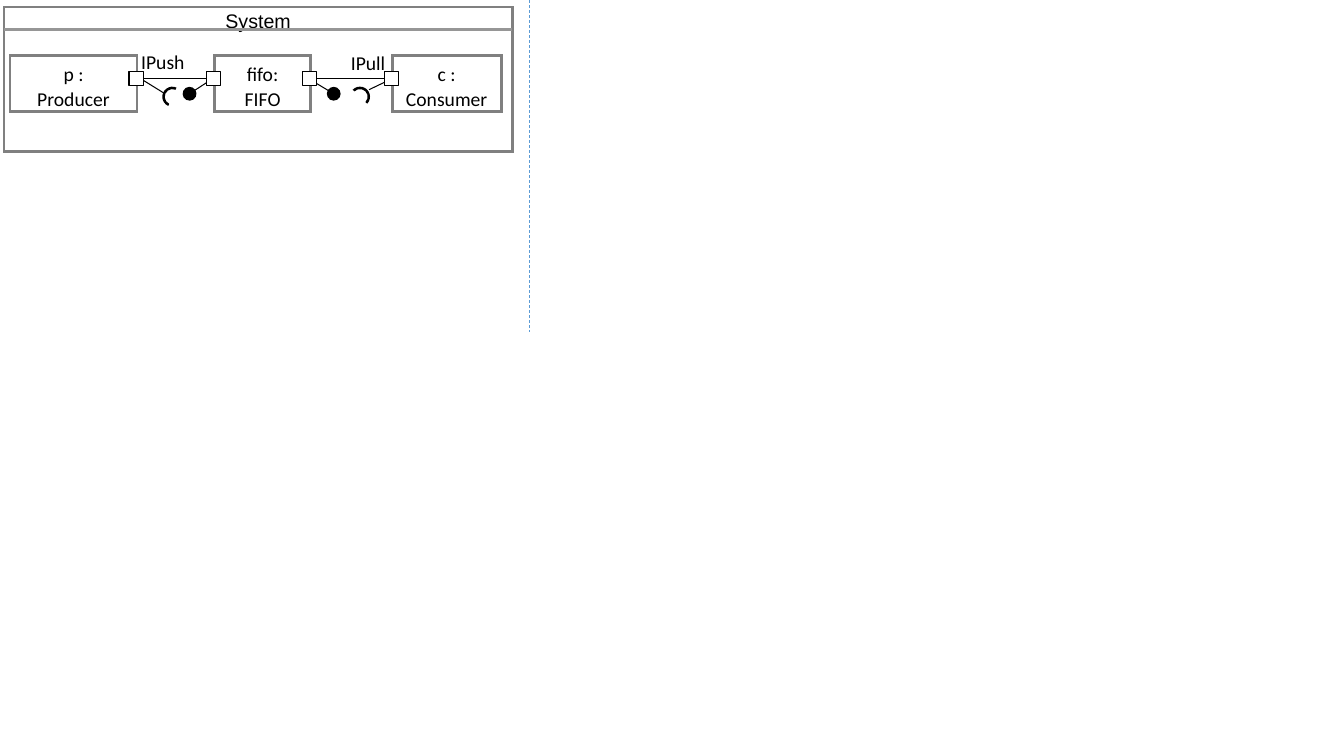
"""Draw a producer, FIFO and consumer component diagram on a fine grid of cells."""
from lxml.etree import SubElement
from pptx import Presentation
from pptx.dml.color import RGBColor
from pptx.enum.dml import MSO_LINE
from pptx.enum.shapes import MSO_CONNECTOR, MSO_SHAPE
from pptx.enum.text import MSO_ANCHOR, MSO_AUTO_SIZE, PP_ALIGN
from pptx.oxml.ns import qn
from pptx.util import Inches, Pt

CELL = Inches(0.01)
COLUMNS, ROWS = 1333, 750
BLACK, WHITE, GREY, LIGHT_GREY, BLUE = "000000", "FFFFFF", "808080", "969696", "5B9BD5"
PORT_SIZE, PORT_TOP = 14, 71
WIRE_ROW = PORT_TOP + PORT_SIZE // 2


def color(hex_string):
    return RGBColor.from_string(hex_string)


def add_line(start, end, line_color=BLACK, width=0.75):
    connector = shapes.add_connector(
        MSO_CONNECTOR.STRAIGHT, *(value * CELL for value in (*start, *end)))
    connector.line.color.rgb = color(line_color)
    connector.line.width = Pt(width)
    SubElement(connector._element.spPr, qn("a:effectLst"))
    return connector


presentation = Presentation()
presentation.slide_width = COLUMNS * CELL
presentation.slide_height = ROWS * CELL
slide = presentation.slides.add_slide(presentation.slide_layouts[6])
shapes = slide.shapes

boxes = [
    ("System", "Arial", (4, 7, 504, 143), 9, 0),
    ("p :\nProducer", "Calibri", (10, 55, 126, 56), 9, 5),
    ("fifo:\nFIFO", "Calibri", (213, 55, 95, 56), 14, 5),
    ("c :\nConsumer", "Calibri", (389, 55, 108, 56), 9, 5),
]
for text, font_name, place, side_inset, top_inset in boxes:
    box = shapes.add_shape(MSO_SHAPE.ROUNDED_RECTANGLE, *(value * CELL for value in place))
    box.adjustments[0] = 0
    box.shadow.inherit = False
    box.line.color.rgb = color(GREY)
    box.line.width = Pt(2)
    SubElement(box.line._get_or_add_ln(), qn("a:miter"), lim="800000")
    if text == "System":
        box.fill.background()
    else:
        box.fill.solid()
        box.fill.fore_color.rgb = color(WHITE)
        fill_color = box._element.spPr.find(qn("a:solidFill"))[0]
        SubElement(fill_color, qn("a:alpha"), val="50000")
    frame = box.text_frame
    frame.word_wrap = False
    frame.vertical_anchor = MSO_ANCHOR.TOP
    frame.margin_left = frame.margin_right = side_inset * CELL
    frame.margin_top, frame.margin_bottom = top_inset * CELL, 5 * CELL
    frame.text = text
    for paragraph in frame.paragraphs:
        paragraph.alignment = PP_ALIGN.CENTER
        paragraph.line_spacing = 1.07
        font = paragraph.runs[0].font
        font.size = Pt(14)
        font.name = font_name
        font.color.rgb = color(BLACK)

add_line((4, 29), (508, 29), LIGHT_GREY, 2)

add_line((162, 92), (141, 79))
add_line((389, WIRE_ROW), (366, 89))
for start, end in [((211, WIRE_ROW), (188, 93)), ((306, WIRE_ROW), (331, 93))]:
    lollipop = add_line(start, end)
    SubElement(lollipop.line._get_or_add_ln(), qn("a:tailEnd"), type="oval", w="lg", len="lg")

for left, rotation in [(161, 294), (347, 44)]:
    socket = shapes.add_shape(MSO_SHAPE.BLOCK_ARC, left * CELL, 86 * CELL, 20 * CELL, 20 * CELL)
    socket.adjustments[2] = 0.12
    socket.rotation = rotation
    socket.shadow.inherit = False
    socket.fill.solid()
    socket.fill.fore_color.rgb = color(BLACK)
    socket.line.fill.background()

ports = []
for left in (128, 205, 300, 381):
    port = shapes.add_shape(
        MSO_SHAPE.RECTANGLE, left * CELL, PORT_TOP * CELL, PORT_SIZE * CELL, PORT_SIZE * CELL)
    port.shadow.inherit = False
    port.fill.solid()
    port.fill.fore_color.rgb = color(WHITE)
    port.line.color.rgb = color(BLACK)
    port.line.width = Pt(0.75)
    ports.append(port)

for source, target in (ports[:2], ports[2:]):
    wire = add_line((0, 0), (0, 0))
    wire.begin_connect(source, 3)
    wire.end_connect(target, 1)

for text, place in [("IPush", (131, 45, 62, 32)), ("IPull", (339, 46, 56, 32))]:
    label = shapes.add_textbox(*(value * CELL for value in place))
    frame = label.text_frame
    frame.word_wrap = False
    frame.auto_size = MSO_AUTO_SIZE.SHAPE_TO_FIT_TEXT
    frame.margin_left = frame.margin_right = 9 * CELL
    frame.margin_top = frame.margin_bottom = 4 * CELL
    frame.text = text
    font = frame.paragraphs[0].runs[0].font
    font.size = Pt(14)
    font.name = "Calibri"
    font.color.rgb = color(BLACK)

separator = add_line((525, 0), (525, 329), BLUE, 0.5)
separator.line.dash_style = MSO_LINE.DASH

presentation.save("out.pptx")
